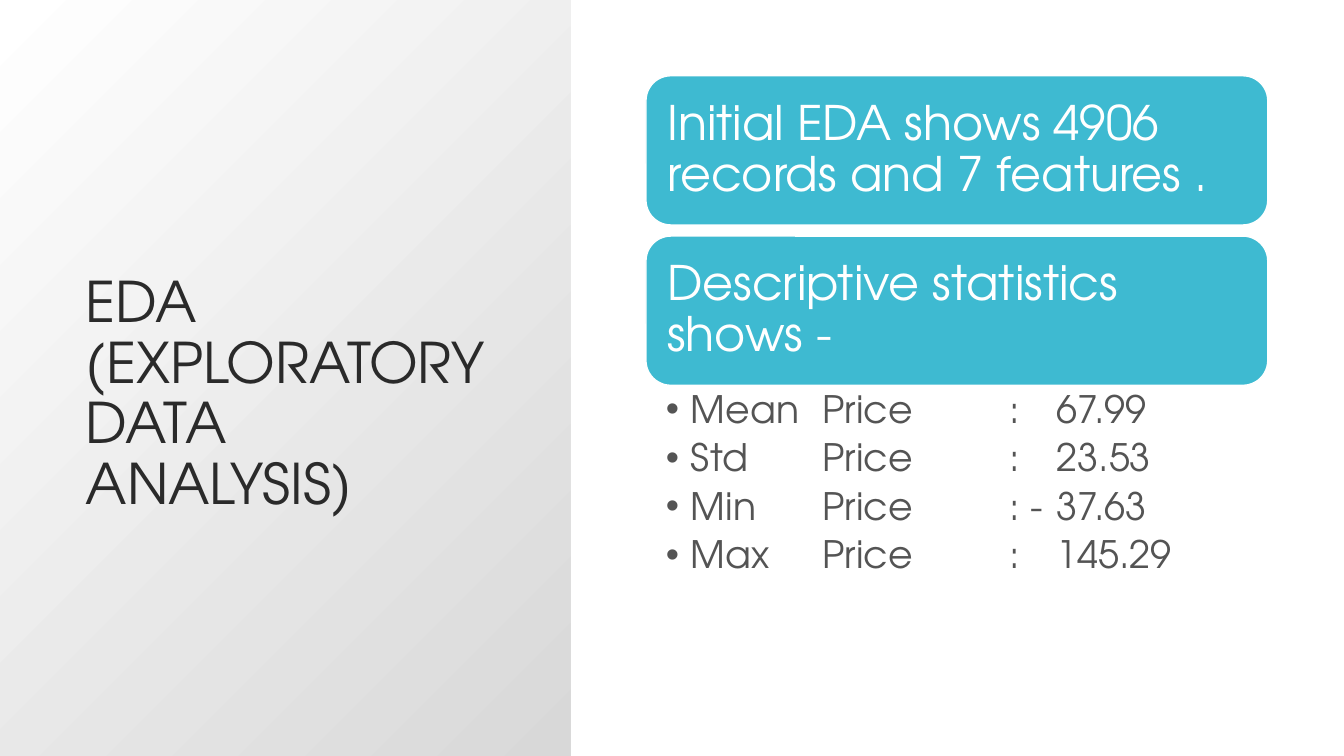
from dataclasses import dataclass

from lxml.etree import SubElement
from pptx import Presentation
from pptx.dml.color import RGBColor as Color
from pptx.enum.shapes import MSO_SHAPE as Preset
from pptx.enum.text import MSO_ANCHOR as Anchor, MSO_AUTO_SIZE as AutoSize, PP_ALIGN as Align
from pptx.oxml.ns import qn
from pptx.util import Cm, Pt


@dataclass(frozen=True)
class Theme:
    face: str = "TeX Gyre Adventor"
    title_size: float = 40
    card_size: float = 34
    list_size: float = 27
    title: str = "2A2A2A"
    body: str = "545454"
    card: str = "3EBAD1"
    white: str = "FFFFFF"
    shade: str = "D8D8D8"


@dataclass(frozen=True)
class Box:
    left: float
    top: float
    width: float
    height: float

    def place(self, shape):
        shape.left, shape.top = Cm(self.left), Cm(self.top)
        shape.width, shape.height = Cm(self.width), Cm(self.height)

    def lengths(self):
        return Cm(self.left), Cm(self.top), Cm(self.width), Cm(self.height)


THEME = Theme()
CARDS = ["Initial EDA shows 4906 records and 7 features .", "Descriptive statistics shows -"]
STATISTICS = [
    ("Mean", ":", "67.99"),
    ("Std", ":", "23.53"),
    ("Min", ": -", "37.63"),
    ("Max", ":", "145.29"),
]
TAB_STOPS = [3.95, 8.65, 9.85]


def set_frame(frame, anchor, left, top, right, bottom):
    frame.word_wrap = True
    frame.auto_size = AutoSize.NONE
    frame.vertical_anchor = anchor
    frame.margin_left, frame.margin_top = Cm(left), Cm(top)
    frame.margin_right, frame.margin_bottom = Cm(right), Cm(bottom)


def style(para, size, color):
    para.alignment = Align.LEFT
    para.line_spacing = 0.9
    para.space_before = para.space_after = Pt(0)
    para.font.name = THEME.face
    para.font.size = Pt(size)
    para.font.color.rgb = Color.from_string(color)


def add_bullet(para):
    properties = para._p.get_or_add_pPr()
    properties.set("marL", str(Cm(0.63)))
    properties.set("indent", str(-Cm(0.63)))
    SubElement(properties, qn("a:buChar"), char="•")
    stops = SubElement(properties, qn("a:tabLst"))
    for stop in TAB_STOPS:
        SubElement(stops, qn("a:tab"), pos=str(Cm(stop)), algn="l")


def title_panel(page, box):
    title = page.shapes.title
    panel = page.shapes.add_shape(Preset.RECTANGLE, *box.lengths())
    title.element.addprevious(panel.element)
    panel.shadow.inherit = False
    panel.line.fill.background()
    panel.fill.gradient()
    panel.fill.gradient_angle = 315
    for stop, color in zip(panel.fill.gradient_stops, (THEME.white, THEME.shade)):
        stop.color.rgb = Color.from_string(color)

    Box(box.left + 1.91, box.top + 1.91, 10.8, 11.23).place(title)
    set_frame(title.text_frame, Anchor.BOTTOM, 0.25, 0.13, 0.25, 0.13)
    para = title.text_frame.paragraphs[0]
    para.text = "EDA (EXPLORATORY DATA ANALYSIS)"
    style(para, THEME.title_size, THEME.title)


def card(page, box, text):
    shape = page.shapes.add_shape(Preset.ROUNDED_RECTANGLE, *box.lengths())
    shape.shadow.inherit = False
    shape.fill.solid()
    shape.fill.fore_color.rgb = Color.from_string(THEME.card)
    shape.line.color.rgb = Color.from_string(THEME.white)
    shape.line.width = Pt(1)
    set_frame(shape.text_frame, Anchor.MIDDLE, 0.36, 0.36, 0.36, 0.36)
    para = shape.text_frame.paragraphs[0]
    para.text = text
    style(para, THEME.card_size, THEME.white)


def statistics_list(page, box):
    body = page.placeholders[1]
    box.place(body)
    frame = body.text_frame
    set_frame(frame, Anchor.TOP, 0.5, 0.13, 0.66, 0.13)
    for index, (label, mark, value) in enumerate(STATISTICS):
        para = frame.add_paragraph() if index else frame.paragraphs[0]
        para.text = "\t".join((label, "Price", mark, value))
        add_bullet(para)
        style(para, THEME.list_size, THEME.body)
        para.space_before = Pt(5.4 if index else 0)


def findings(page, box):
    card_height, pitch = 3.76, 4.04
    for index, text in enumerate(CARDS):
        card(page, Box(box.left, box.top + index * pitch, box.width, card_height), text)
    used = pitch * (len(CARDS) - 1) + card_height
    statistics_list(page, Box(box.left, box.top + used, box.width, box.height - used))


def main():
    deck = Presentation()
    deck.slide_width, deck.slide_height = Cm(33.87), Cm(19.05)
    page = deck.slides.add_slide(deck.slide_layouts[1])
    title_panel(page, Box(0, 0, 14.38, 19.05))
    findings(page, Box(16.28, 1.91, 15.67, 15.21))
    deck.save("out.pptx")


if __name__ == "__main__":
    main()
